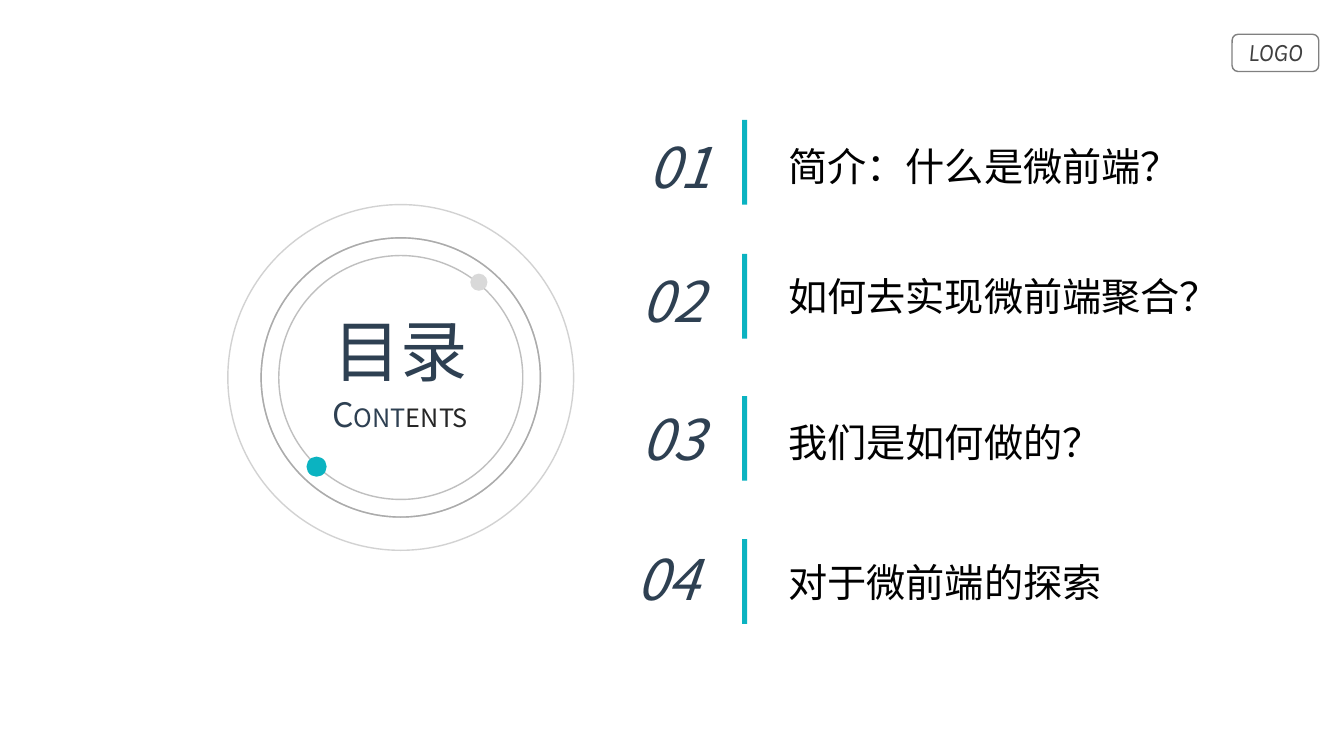
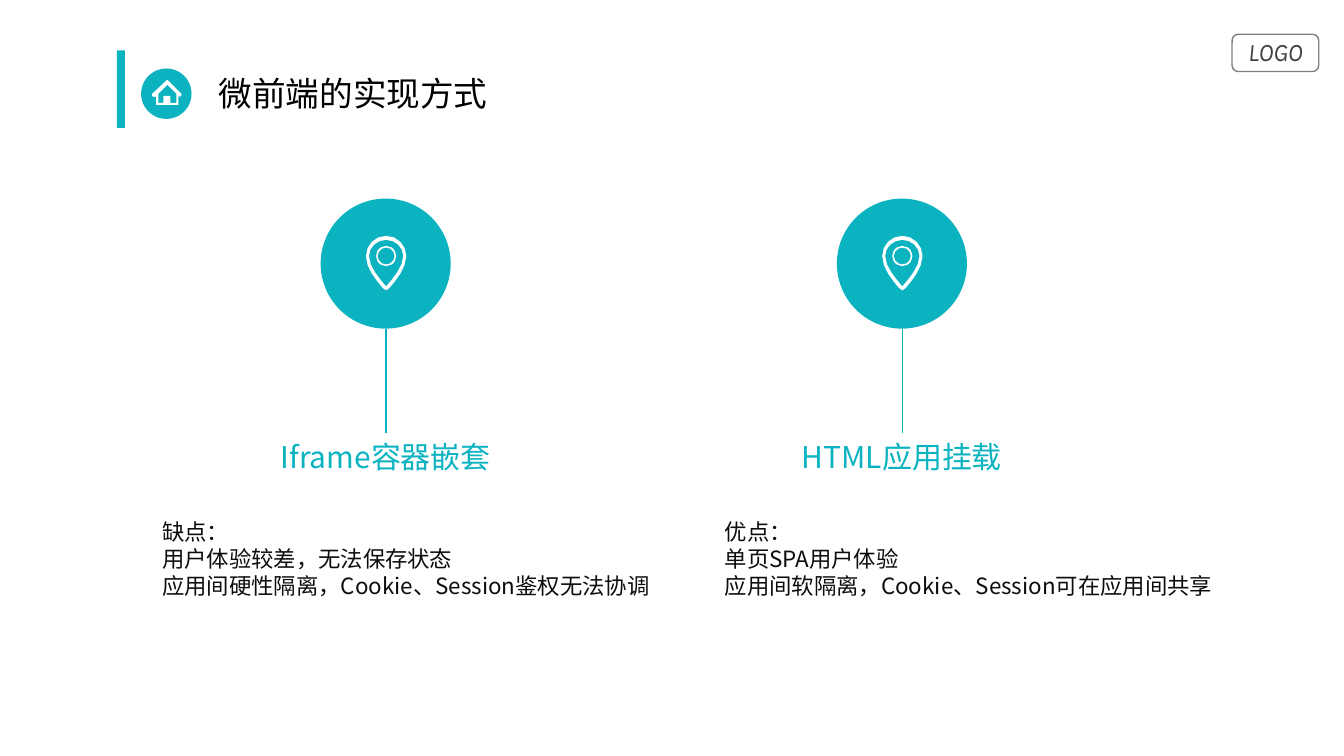
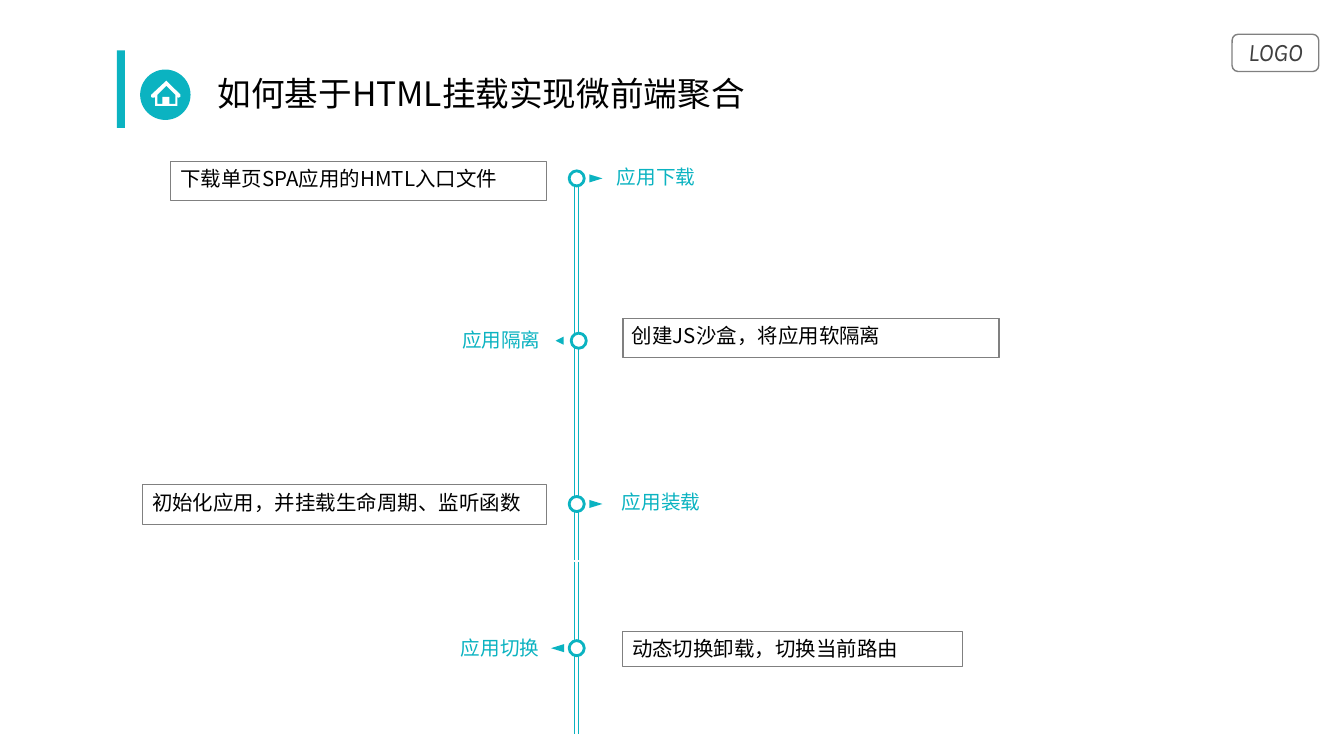
from dataclasses import dataclass

from lxml import etree
from pptx import Presentation
from pptx import util as u
from pptx.dml.color import RGBColor
from pptx.enum import shapes, text
from pptx.oxml.ns import qn

KIND = shapes.MSO_SHAPE
ALIGN = text.PP_ALIGN


@dataclass(frozen=True)
class Theme:
    teal: str = "0BB3C1"
    navy: str = "2E4052"
    black: str = "000000"
    body: str = "0D0D0D"
    dark: str = "262626"
    logo: str = "404040"
    edge: str = "808080"
    ring: str = "A6A6A6"
    soft: str = "BFBFBF"
    pale: str = "D9D9D9"
    white: str = "FFFFFF"
    font: str = "Noto Sans CJK SC"
    badge: str = "Karla"
    huge: float = 48
    num: float = 40
    item: float = 28
    title: float = 24
    head: float = 21.4
    sub: float = 18
    note: float = 16
    card: float = 14.6
    tag: float = 14


T = Theme()


def rgb(tone):
    return RGBColor.from_string(tone)


def paint(shape, fill=None, line=None, width=1, alpha=None):
    shape.shadow.inherit = False
    if fill:
        shape.fill.solid()
        shape.fill.fore_color.rgb = rgb(fill)
    else:
        shape.fill.background()
    if line:
        shape.line.color.rgb = rgb(line)
        shape.line.width = u.Pt(width)
        if alpha:
            tone = shape.line._get_or_add_ln().find(".//" + qn("a:srgbClr"))
            etree.SubElement(tone, qn("a:alpha")).set("val", str(alpha * 1000))
    else:
        shape.line.fill.background()
    return shape


def form(slide, kind, box, **look):
    shape = slide.shapes.add_shape(kind, *map(u.Inches, box))
    return paint(shape, **look)


def disc(slide, mid, size, **look):
    x, y = mid
    return form(slide, KIND.OVAL, (x - size / 2, y - size / 2, size, size), **look)


def rule(slide, x, top, end, width):
    ends = map(u.Inches, (x, top, x, end))
    line = slide.shapes.add_connector(shapes.MSO_CONNECTOR.STRAIGHT, *ends)
    line.line.color.rgb = rgb(T.teal)
    line.line.width = u.Pt(width)
    etree.SubElement(line._element.spPr, qn("a:effectLst"))


def outline(slide, x, y, loops):
    loops = [[(u.Inches(x + a), u.Inches(y + b)) for a, b in loop] for loop in loops]
    pen = slide.shapes.build_freeform(*loops[0][0], scale=1.0)
    for i, loop in enumerate(loops):
        if i:
            pen.move_to(*loop[0])
        pen.add_line_segments(loop[1:], close=True)
    paint(pen.convert_to_shape(), fill=T.white)


def write(slide, box, paras, size, tone, align=ALIGN.LEFT, wrap=True,
          font=T.font, italic=False):
    area = slide.shapes.add_textbox(*map(u.Inches, box))
    frame = area.text_frame
    frame.word_wrap = wrap
    for i, runs in enumerate(paras):
        para = frame.add_paragraph() if i else frame.paragraphs[0]
        para.alignment = align
        for word, *style in runs:
            run = para.add_run()
            run.text = word
            big, shade = style or (size, tone)
            face = run.font
            face.size = u.Pt(big)
            face.name = font
            face.italic = italic
            face.color.rgb = rgb(shade)
            east = etree.SubElement(run._r.get_or_add_rPr(), qn("a:ea"))
            east.set("typeface", font)


def badge(slide, box):
    x, y, w, h = box
    form(slide, KIND.ROUNDED_RECTANGLE, box, line=T.edge)
    write(slide, (x - 0.09, y - 0.03, w + 0.18, h + 0.03), [[("LOGO",)]],
          T.sub, T.logo, ALIGN.CENTER, font=T.badge, italic=True)


def house(slide, x, y):
    roof = [(0.26, 0.11), (0.4, 0.25), (0.4, 0.27), (0.38, 0.28), (0.37, 0.27),
            (0.37, 0.36), (0.15, 0.36), (0.15, 0.27), (0.14, 0.28),
            (0.12, 0.28), (0.11, 0.27), (0.11, 0.25)]
    wall = [(0.35, 0.34), (0.29, 0.34), (0.29, 0.27), (0.22, 0.27),
            (0.22, 0.34), (0.17, 0.34), (0.17, 0.25), (0.26, 0.16), (0.35, 0.25)]
    form(slide, KIND.OVAL, (x, y, 0.5, 0.5), fill=T.teal)
    outline(slide, x, y, [roof, wall])


def header(slide, box, title, nudge=0):
    x, y, w, h = box
    form(slide, KIND.RECTANGLE, (x, y, 0.08, h), fill=T.teal)
    house(slide, x + 0.24 - nudge, y + 0.18 + nudge)
    write(slide, (x + 0.91 - nudge, y + 0.17, w - 0.91, 0.5), [[(title,)]],
          T.title, T.black)


def curve(a, b, c, d, steps=4):
    for i in range(steps):
        t = i / steps
        k = (1 - t) ** 3, 3 * t * (1 - t) ** 2, 3 * t * t * (1 - t), t ** 3
        yield tuple(sum(f * p[n] for f, p in zip(k, (a, b, c, d))) for n in (0, 1))


def mirror(points, tip):
    half = [p for i in range(0, len(points) - 1, 3) for p in curve(*points[i:i + 4])]
    half += [points[-1]]
    right = [(2 * tip[0] - x, y) for x, y in reversed(half[1:]) if x < tip[0]]
    return half + [tip] + right


def marker(slide, x, y):
    mid = 0.65
    rim = [(mid, 0.37), (0.54, 0.37), (0.45, 0.46), (0.45, 0.57), (0.45, 0.69),
           (0.55, 0.81), (0.62, 0.89)]
    core = [(mid, 0.41), (0.56, 0.41), (0.48, 0.48), (0.48, 0.57),
            (0.48, 0.68), (0.59, 0.8), (0.64, 0.86)]
    form(slide, KIND.OVAL, (x, y, 1.29, 1.29), fill=T.teal)
    ring = form(slide, KIND.DONUT, (x + 0.55, y + 0.47, 0.2, 0.2), fill=T.white)
    ring.adjustments[0] = 0.08
    outline(slide, x, y, [mirror(rim, (mid, 0.91)), mirror(core, (mid, 0.87))])


def emblem(slide, box):
    x, y, w, h = box
    mid = x + w / 2, y + h / 2
    for size, tone, alpha in ((2.42, T.soft, None), (2.77, T.ring, 70),
                              (2.77, T.ring, 80), (w, T.ring, 50)):
        disc(slide, mid, size, line=tone, alpha=alpha)
    write(slide, (x + 0.58, y + 0.99, 2.27, 0.91), [[("目录",)]],
          T.huge, T.navy, ALIGN.CENTER)
    disc(slide, (x + 0.88, y + 2.6), 0.2, fill=T.teal)
    disc(slide, (x + 2.49, y + 0.77), 0.17, fill=T.pale)
    runs = [("C", T.title, T.navy), ("ONT", T.sub, T.navy), ("ENTS", T.sub, T.dark)]
    write(slide, (x + 0.9, y + 1.83, 1.62, 0.5), [runs],
          T.sub, T.navy, ALIGN.CENTER, wrap=False)


def entry(slide, box, num, label, shift, drop, fall):
    x, y, w, h = box
    write(slide, (x + shift, y + drop, 0.89, 0.77), [[(num,)]],
          T.num, T.navy, wrap=False, italic=True)
    form(slide, KIND.RECTANGLE, (x + 1.1, y, 0.05, h), fill=T.teal)
    write(slide, (x + 1.46, y + fall, w - 1.46, 0.57), [[(label,)]], T.item, T.black)


def option(slide, box, inset, title, lines):
    x, y, w, h = box
    mid = x + inset
    marker(slide, mid - 0.65, y)
    rule(slide, mid, y + 1.29, y + 2.33, 1)
    write(slide, (mid - 1.5, y + 2.33, 2.99, 0.46), [[(title,)]],
          T.head, T.teal, ALIGN.CENTER)
    write(slide, (x, y + 3.12, w, h - 3.12), [[(line,)] for line in lines],
          T.note, T.body)


def rails(slide, box):
    x, y, w, h = box
    for top, end in ((0, 2.2), (2.17, 3.8), (3.82, h)):
        for side in (x + w, x):
            rule(slide, side, y + top, y + end, 0.75)


def step(slide, mid, way, long, tag, spot, label, card):
    x, y = mid
    disc(slide, mid, 0.15, fill=T.white, line=T.teal, width=2)
    tip = form(slide, KIND.ISOSCELES_TRIANGLE,
               (x + way * 0.19 - 0.04, y - long / 2, 0.08, long), fill=T.teal)
    tip.rotation = 90 * way % 360
    write(slide, (*spot, 1.82, 0.34), [[(tag,)]], T.tag, T.teal,
          ALIGN.LEFT if way > 0 else ALIGN.RIGHT)
    write(slide, card, [[(label,)]], T.card, T.black)
    form(slide, KIND.RECTANGLE, card, line=T.edge, width=0.5)


def contents(slide):
    emblem(slide, (2.26, 2.03, 3.43, 3.43))
    rows = ((1.19, "简介：什么是微前端？", 0.07, 0.08, 0.17),
            (2.52, "如何去实现微前端聚合？", 0, 0.07, 0.13),
            (3.93, "我们是如何做的？", 0, 0.03, 0.17),
            (5.35, "对于微前端的探索", -0.05, 0, 0.14))
    for i, (top, label, *nudge) in enumerate(rows, 1):
        entry(slide, (6.26, top, 6.08, 0.84), f"{i:02}", label, *nudge)


def compare(slide):
    header(slide, (1.16, 0.5, 3.93, 0.77), "微前端的实现方式")
    option(slide, (1.51, 1.97, 5.31, 4.03), 2.32, "Iframe容器嵌套",
           ("缺点：", "用户体验较差，无法保存状态",
            "应用间硬性隔离，Cookie、Session鉴权无法协调"))
    option(slide, (7.09, 1.97, 5.31, 4.03), 1.86, "HTML应用挂载",
           ("优点：", "单页SPA用户体验",
            "应用间软隔离，Cookie、Session可在应用间共享"))


def process(slide):
    header(slide, (1.16, 0.5, 6.97, 0.77), "如何基于HTML挂载实现微前端聚合", 0.01)
    rails(slide, (5.7, 1.76, 0.04, 5.52))
    steps = (
        ((5.72, 1.77), 1, 0.13, "应用下载", (6.02, 1.59),
         "下载单页SPA应用的HMTL入口文件", (1.69, 1.6, 3.73, 0.39)),
        ((5.74, 3.38), -1, 0.08, "应用隔离", (3.64, 3.2),
         "创建JS沙盒，将应用软隔离", (6.17, 3.16, 3.73, 0.39)),
        ((5.72, 5), 1, 0.13, "应用装载", (6.07, 4.81),
         "初始化应用，并挂载生命周期、监听函数", (1.41, 4.81, 4.01, 0.39)),
        ((5.72, 6.43), -1, 0.13, "应用切换", (3.63, 6.26),
         "动态切换卸载，切换当前路由", (6.17, 6.26, 3.38, 0.35)),
    )
    for part in steps:
        step(slide, *part)
    form(slide, KIND.RECTANGLE, (6.18, 3.16, 3.73, 0.39), line=T.edge, width=0.5)


def main():
    deck = Presentation()
    deck.slide_width = u.Inches(13.33)
    deck.slide_height = u.Inches(7.5)
    for build in (contents, compare, process):
        slide = deck.slides.add_slide(deck.slide_layouts[6])
        badge(slide, (12.22, 0.34, 0.86, 0.37))
        build(slide)
    deck.save("out.pptx")


if __name__ == "__main__":
    main()
